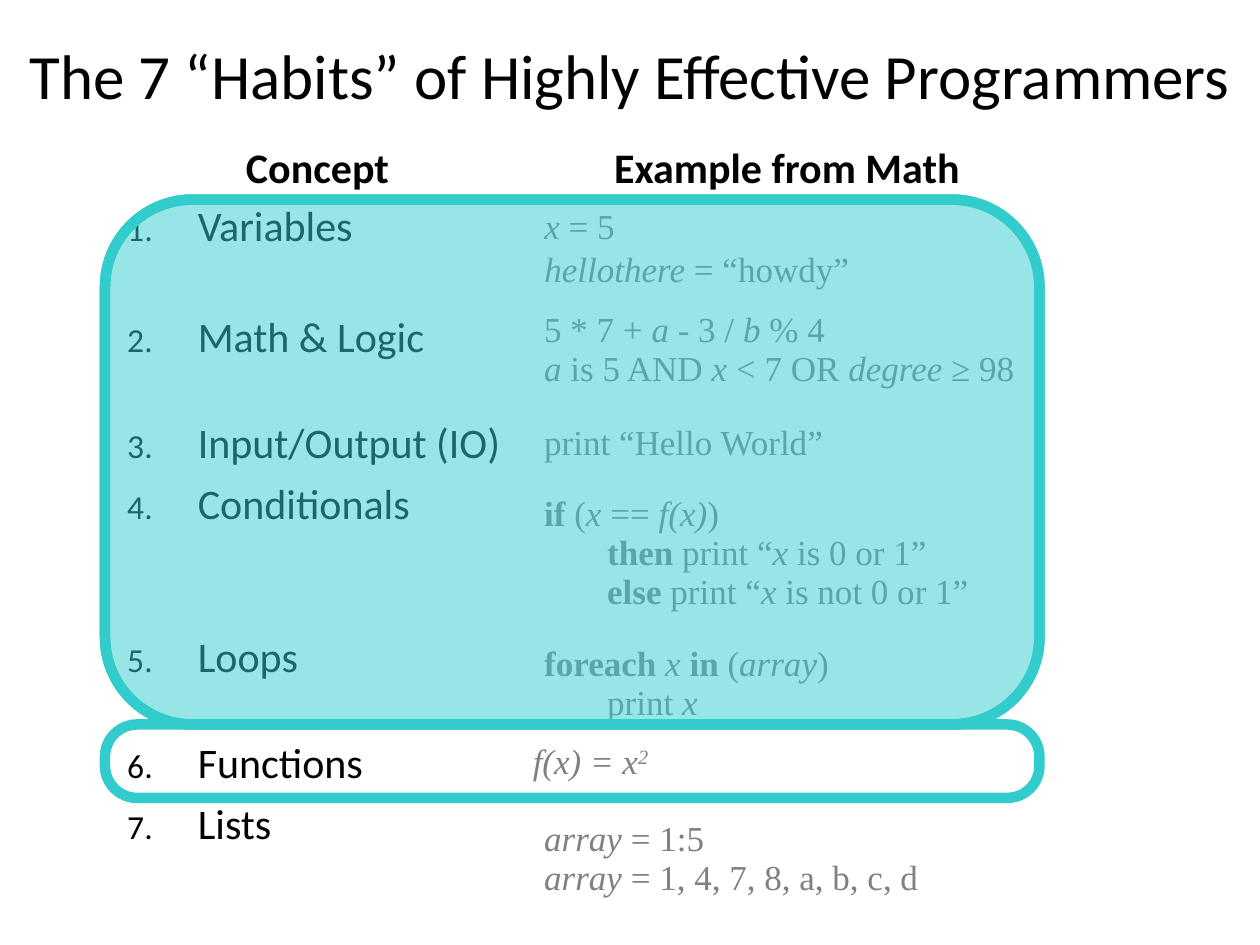
from dataclasses import dataclass

from lxml.etree import SubElement
from pptx import Presentation
from pptx.dml.color import RGBColor
from pptx.enum.shapes import MSO_SHAPE
from pptx.enum.text import MSO_ANCHOR, MSO_AUTO_SIZE, PP_ALIGN
from pptx.oxml.ns import qn
from pptx.util import Inches, Pt

COLORS = {"ink": "020202", "example": "808080", "frame": "33CCCC"}
GRID = Inches(1) / 12  # the slide is 120 columns by 90 rows
MARKS = {"_": "italic", "#": "bold", "^": "raised"}
EXAMPLE_LEFT, EXAMPLE_WIDTH = 50.64, 69.36


@dataclass
class Area:
    column: float
    row: float
    columns: float
    rows: float

    def place(self) -> tuple:
        return tuple(round(n * GRID) for n in (self.column, self.row, self.columns, self.rows))


@dataclass
class Example:
    text: str  # _italic_, #bold#, ^superscript^
    row: float
    rows: float = 10.56
    column: float = EXAMPLE_LEFT


@dataclass
class Frame:
    area: Area
    rounding: float = 0.1667
    filled: bool = False


HEADINGS = {1: ("Concept", Area(10.92, 10.44, 38.64, 8.4)),
            3: ("Example from Math", Area(EXAMPLE_LEFT, 10.44, 48.6, 8.4))}
CONCEPTS = ["Variables\n", "Math & Logic\n", "Input/Output (IO)", "Conditionals\n\n",
            "Loops\n", "Functions", "Lists"]
FIRST_EXAMPLE = Example("_x_ = 5\n_hellothere _= “howdy”", 18.84)
EXAMPLES = [
    Example("5 * 7 + _a_ - 3 / _b_ % 4\n_a _is 5 AND _x _< 7 OR _degree_ ≥ 98", 29.04),
    Example("_f(x) = x^2^_", 70.2, 5.76, 49.56),
    Example("#if# (_x _==_ f(x)_)\n\t#then #print “_x_ is 0 or 1”"
            "\n\t#else #print “_x _is not 0 or 1”", 46.56),
    Example("print “Hello World”", 39.84, 6),
    Example("_array _= 1:5\n_array _= 1, 4, 7, 8, a, b, c, d", 77.52),
    Example("#foreach #_x _#in #(_array_)\n\tprint _x_", 60.84),
]
LOOPS_AREA = Area(10, 19, 89, 50)
FRAMES = [Frame(LOOPS_AREA), Frame(Area(10, 69, 89, 7), 0.438), Frame(LOOPS_AREA, filled=True)]


def add_span(para, text: str, size: float, font: str, color: str, styles: set) -> None:
    span = para.add_run()
    span.text = text
    span.font.size = Pt(size)
    span.font.name = font
    span.font.bold = "bold" in styles
    span.font.italic = "italic" in styles
    span.font.color.rgb = RGBColor.from_string(COLORS[color])
    if "raised" in styles:
        span.font._element.set("baseline", "30000")


def write(para, text: str, *, size: float = 20, font: str = "Times New Roman",
          color: str = "example", styles: frozenset = frozenset(), spacing: float = 0.93,
          before: float = 0, align=PP_ALIGN.LEFT, numbered: bool = False) -> None:
    """Fill a paragraph; mark characters switch a style on and off."""
    para.alignment = align
    para.line_spacing = spacing
    para.space_before = Pt(before)
    properties = para._p.get_or_add_pPr()
    indent = Inches(0.56) if numbered else 0
    properties.set("marL", str(indent))
    properties.set("indent", str(-indent))
    if numbered:
        SubElement(properties, qn("a:buSzPct"), val="80000")
        SubElement(properties, qn("a:buFont"), typeface="+mj-lt")
        SubElement(properties, qn("a:buAutoNum"), type="arabicPeriod")
    else:
        SubElement(properties, qn("a:buNone"))
    if "\t" in text:
        tabs = SubElement(properties, qn("a:tabLst"))
        SubElement(tabs, qn("a:tab"), pos=str(Inches(0.5)), algn="l")

    active, piece = set(styles), ""
    for character in text:
        if character not in MARKS and character != "\n":
            piece += character
            continue
        if piece:
            add_span(para, piece, size, font, color, active)
            piece = ""
        if character == "\n":
            para.add_line_break()
        else:
            active ^= {MARKS[character]}
    if piece:
        add_span(para, piece, size, font, color, active)


def set_up(box, area: Area, anchor=MSO_ANCHOR.TOP):
    """Move a text holder and return its text frame."""
    box.left, box.top, box.width, box.height = area.place()
    frame = box.text_frame
    frame.word_wrap = True
    frame.auto_size = MSO_AUTO_SIZE.NONE
    frame.vertical_anchor = anchor
    return frame


def example_area(example: Example) -> Area:
    return Area(example.column, example.row, EXAMPLE_WIDTH, example.rows)


def draw_frame(page, frame: Frame) -> None:
    shape = page.shapes.add_shape(MSO_SHAPE.ROUNDED_RECTANGLE, *frame.area.place())
    shape.shadow.inherit = False
    shape.adjustments[0] = frame.rounding
    color = RGBColor.from_string(COLORS["frame"])
    shape.line.color.rgb = color
    shape.line.width = Pt(6)
    if frame.filled:
        shape.fill.solid()
        shape.fill.fore_color.rgb = color
        fill_color = shape._element.spPr.find(qn("a:solidFill"))[0]
        SubElement(fill_color, qn("a:alpha"), val="50000")
    else:
        shape.fill.background()


def main() -> None:
    deck = Presentation()
    deck.slide_width, deck.slide_height = Inches(10), Inches(7.5)
    page = deck.slides.add_slide(deck.slide_layouts.get_by_name("Comparison"))
    holders = {box.placeholder_format.idx: box for box in page.placeholders}

    # Title and column headings
    title = set_up(holders[0], Area(0, 2.4, 120, 9.12), MSO_ANCHOR.MIDDLE)
    write(title.paragraphs[0], "The 7 “Habits” of Highly Effective Programmers", size=36,
          font="Calibri", color="ink", spacing=1.02, align=PP_ALIGN.CENTER)
    for index, (text, area) in HEADINGS.items():
        heading = set_up(holders[index], area, MSO_ANCHOR.BOTTOM)
        write(heading.paragraphs[0], text, size=24, font="Calibri", color="ink",
              styles=frozenset({"bold"}), spacing=1.02, align=PP_ALIGN.CENTER)

    # Numbered concepts
    concepts = set_up(holders[2], Area(10.92, 18.84, 38.64, 66.96))
    for number, concept in enumerate(CONCEPTS):
        para = concepts.add_paragraph() if number else concepts.paragraphs[0]
        write(para, concept, size=24, font="Calibri", color="ink", spacing=0.92,
              before=8 if number else 0, numbered=True)

    # Examples
    first = set_up(holders[4], example_area(FIRST_EXAMPLE))
    write(first.paragraphs[0], FIRST_EXAMPLE.text, spacing=1.02)
    for example in EXAMPLES:
        area = example_area(example)
        box = page.shapes.add_textbox(*area.place())
        write(set_up(box, area).paragraphs[0], example.text)

    # Frames around the concepts
    for frame in FRAMES:
        draw_frame(page, frame)

    deck.save("out.pptx")


if __name__ == "__main__":
    main()
